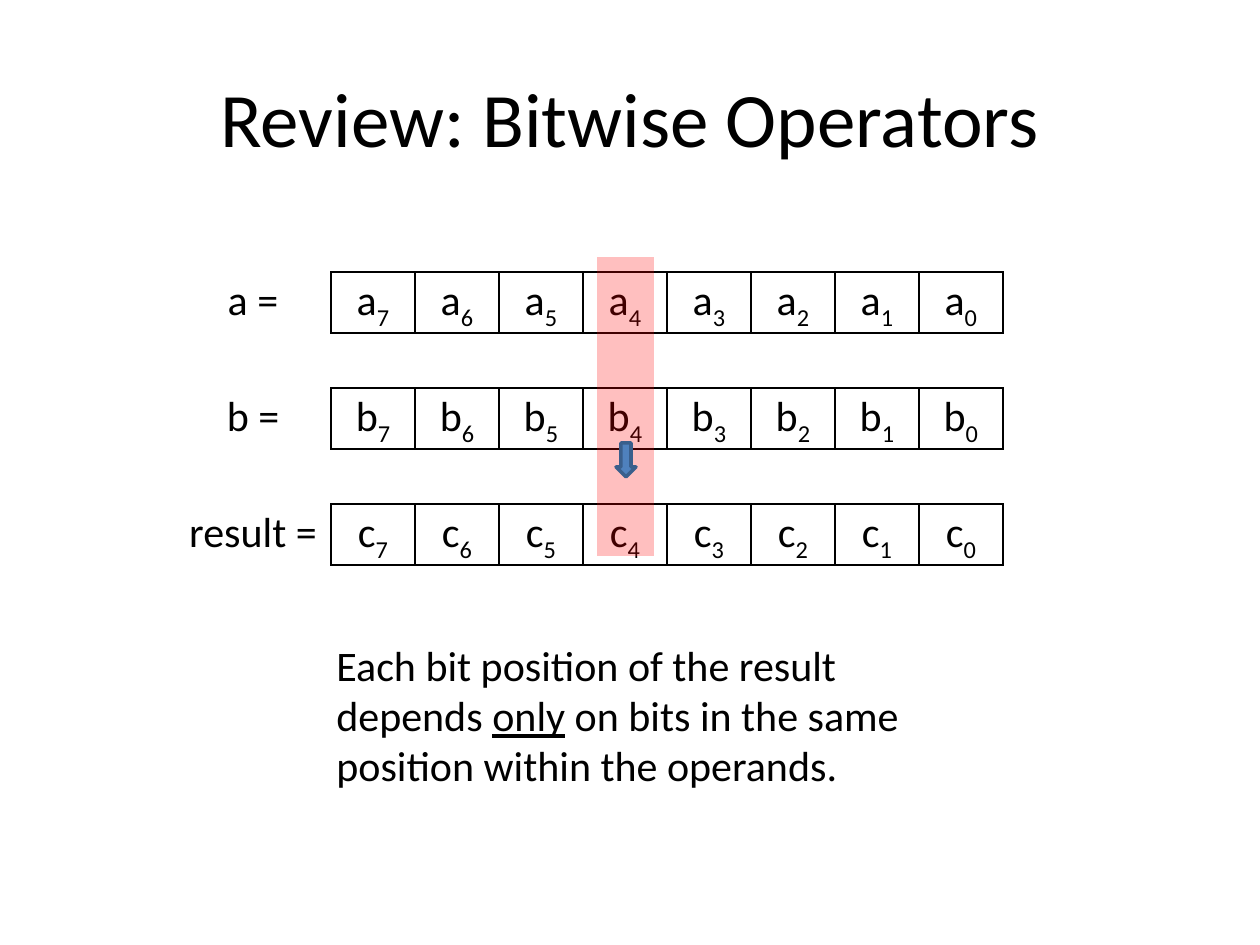
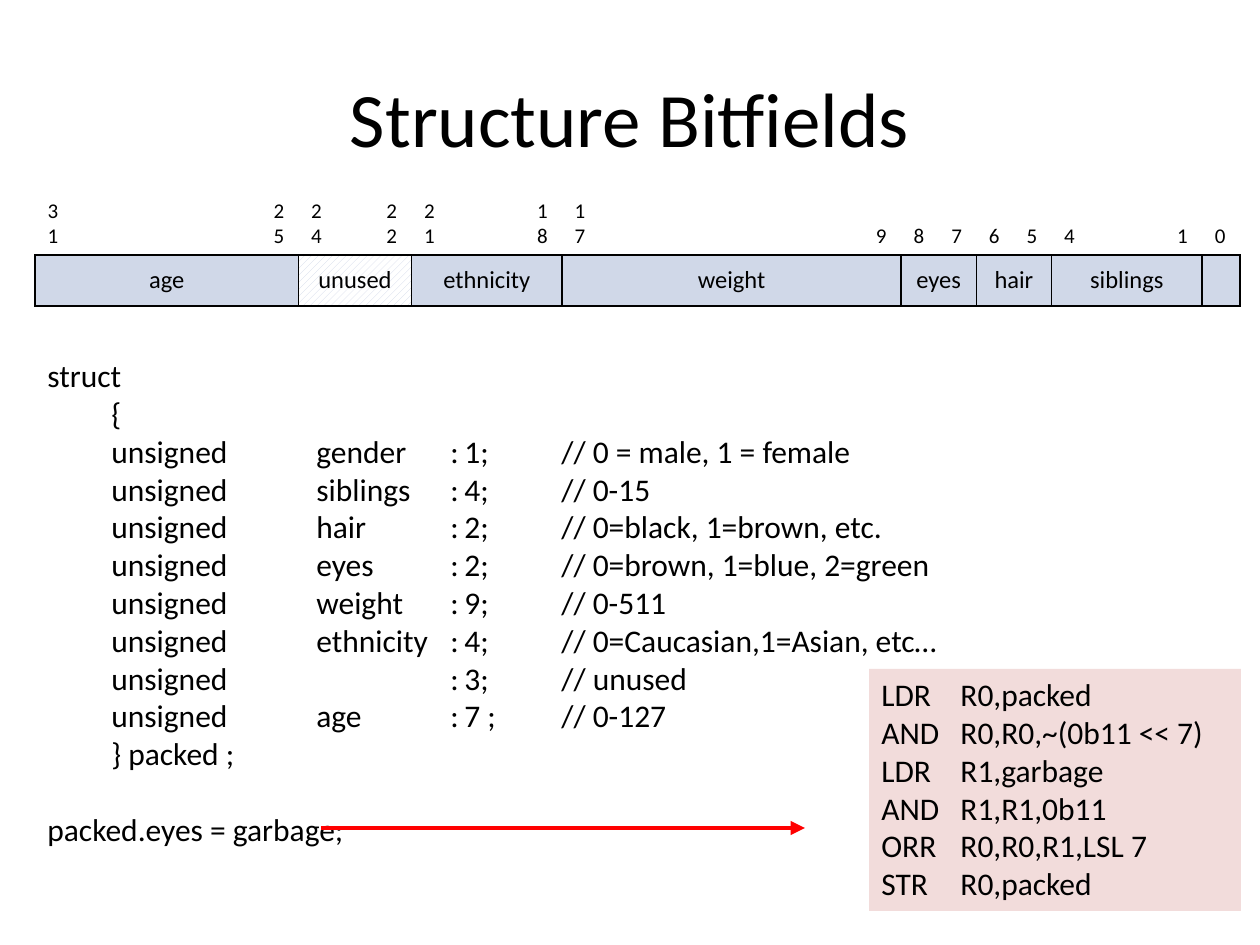
from collections import namedtuple

from lxml.etree import SubElement
from pptx import Presentation
from pptx.dml.color import RGBColor
from pptx.enum.dml import MSO_PATTERN
from pptx.enum.shapes import MSO_CONNECTOR, MSO_SHAPE
from pptx.enum.text import MSO_ANCHOR, PP_ALIGN
from pptx.oxml.ns import qn
from pptx.util import Emu, Pt

Box = namedtuple("Box", "left top width height")

FONT = "Calibri"
BLACK, WHITE, RED = "000000", "FFFFFF", "FF0000"
BLUE, DARK_BLUE = "4F81BD", "3A5F8C"
FIELD_FILL, PANEL_FILL = "D0D8E8", "F2DCDB"
PLAIN_TABLE = "{2D5ABB26-0587-4C30-8999-92F81FD0307C}"
TITLE_BOX = Box(63, 38, 1134, 158)
WORD_BITS = 32
BYTE_BITS = 8

FIELDS = [
    ("age", 31, 25),
    ("unused", 24, 22),
    ("ethnicity", 21, 18),
    ("weight", 17, 9),
    ("eyes", 8, 7),
    ("hair", 6, 5),
    ("siblings", 4, 1),
    ("", 0, 0),
]
MEMBERS = [
    ("gender", "1", "0 = male, 1 = female"),
    ("siblings", "4", "0-15"),
    ("hair", "2", "0=black, 1=brown, etc."),
    ("eyes", "2", "0=brown, 1=blue, 2=green"),
    ("weight", "9", "0-511"),
    ("ethnicity", "4", "0=Caucasian,1=Asian, etc…"),
    ("", "3", "unused"),
    ("age", "7 ", "0-127"),
]
INSTRUCTIONS = [
    "LDR\tR0,packed",
    "AND\tR0,R0,~(0b11 << 7)",
    "LDR\tR1,garbage",
    "AND\tR1,R1,0b11",
    "ORR\tR0,R0,R1,LSL 7",
    "STR\tR0,packed",
]


def px(length):
    return Emu(round(length * 914400 / 126))


def emu(box):
    return [px(length) for length in box]


def color(value):
    return RGBColor.from_string(value)


def format_runs(paragraph, size):
    for span in paragraph.runs:
        span.font.name = FONT
        span.font.size = Pt(size)
        span.font.color.rgb = color(BLACK)


def set_indent(paragraph, indent):
    paragraph._p.get_or_add_pPr().set("marL", str(px(indent)))


def set_tabs(paragraph, stops):
    properties = paragraph._p.get_or_add_pPr()
    tab_list = SubElement(properties, qn("a:tabLst"))
    for stop in stops:
        SubElement(tab_list, qn("a:tab"), pos=str(px(stop)), algn="l")


def add_title_page(deck, title):
    page = deck.slides.add_slide(deck.slide_layouts[5])
    shape = page.shapes.title
    shape.left, shape.top, shape.width, shape.height = emu(TITLE_BOX)
    shape.text_frame.text = title
    shape.text_frame.vertical_anchor = MSO_ANCHOR.MIDDLE
    paragraph = shape.text_frame.paragraphs[0]
    paragraph.alignment = PP_ALIGN.CENTER
    format_runs(paragraph, 44)
    return page


def add_shape(page, kind, box, fill, line=None):
    shape = page.shapes.add_shape(kind, *emu(box))
    shape.shadow.inherit = False
    shape.fill.solid()
    shape.fill.fore_color.rgb = color(fill)
    if line:
        shape.line.color.rgb = color(line)
        shape.line.width = Pt(2)
    else:
        shape.line.fill.background()
    return shape


def add_text_box(page, box):
    frame = page.shapes.add_textbox(*emu(box)).text_frame
    frame.word_wrap = True
    return frame


def add_plain_table(page, box, column_widths, row_heights):
    table = page.shapes.add_table(
        len(row_heights), len(column_widths), *emu(box)).table
    table.first_row = table.horz_banding = False
    table._tbl.tblPr.find(qn("a:tableStyleId")).text = PLAIN_TABLE
    for column, width in zip(table.columns, column_widths):
        column.width = px(width)
    for row, height in zip(table.rows, row_heights):
        row.height = px(height)
    for cell in table.iter_cells():
        cell.fill.background()
    return table


def outline_cell(cell):
    properties = cell._tc.get_or_add_tcPr()
    for index, side in enumerate(("lnL", "lnR", "lnT", "lnB")):
        line = SubElement(properties, qn(f"a:{side}"), w=str(Pt(1)))
        fill = SubElement(line, qn("a:solidFill"))
        SubElement(fill, qn("a:srgbClr"), val=BLACK)
        properties.insert(index, line)


def write_operand_cell(cell, text, subscript=""):
    cell.margin_left = cell.margin_right = px(9)
    cell.margin_top = cell.margin_bottom = 0
    paragraph = cell.text_frame.paragraphs[0]
    paragraph.text = text
    paragraph.alignment = PP_ALIGN.CENTER
    paragraph.line_spacing = 1.07
    if subscript:
        span = paragraph.add_run()
        span.text = subscript
        span._r.get_or_add_rPr().set("baseline", "-25000")
    format_runs(paragraph, 24)


def add_operand_table(page, box):
    label_width, row_height, gap = 156, 61, 55
    bit_width = (box.width - label_width) / BYTE_BITS
    table = add_plain_table(
        page, box, [label_width] + [bit_width] * BYTE_BITS,
        [row_height, gap, row_height, gap, row_height])
    operands = [("a =", "a"), ("b =", "b"), ("result =", "c")]
    for index, (label, letter) in enumerate(operands):
        row = 2 * index
        write_operand_cell(table.cell(row, 0), label)
        for bit in range(BYTE_BITS):
            cell = table.cell(row, BYTE_BITS - bit)
            write_operand_cell(cell, letter, str(bit))
            outline_cell(cell)


def add_bit_highlight(page, box):
    band = add_shape(page, MSO_SHAPE.RECTANGLE, box, RED)
    tint = band.fill._xPr.find(qn("a:solidFill"))[0]
    SubElement(tint, qn("a:alpha"), val="25000")
    arrow = Box(box.left + 19, box.top + 186, 20, 34)
    add_shape(page, MSO_SHAPE.DOWN_ARROW, arrow, BLUE, DARK_BLUE)


def add_remark(page, box):
    paragraph = add_text_box(page, box).paragraphs[0]
    for text in ("Each bit position of the result depends ", "only",
                 " on bits in the same position within the operands."):
        span = paragraph.add_run()
        span.text = text
        span.font.underline = text == "only"
    format_runs(paragraph, 24)


def add_struct_code(page, box):
    frame = add_text_box(page, box)
    members = [f"unsigned\t{name}\t:\t{width};\t// {note}"
               for name, width, note in MEMBERS]
    lines = ["struct", "{", *members, "} packed ;", "packed.eyes = garbage;"]
    frame.text = "\n".join(lines)
    for paragraph in frame.paragraphs:
        format_runs(paragraph, 18)
    for paragraph in frame.paragraphs[1:-1]:
        set_indent(paragraph, 64)
    for paragraph in frame.paragraphs[2:-2]:
        set_tabs(paragraph, (205, 339, 353, 450))
    frame.paragraphs[-1].space_before = Pt(21.5)


def fill_field(cell, name):
    if name == "unused":
        cell.fill.patterned()
        cell.fill.pattern = MSO_PATTERN.WIDE_UPWARD_DIAGONAL
        cell.fill.back_color.rgb = color(WHITE)
    else:
        cell.fill.solid()
    cell.fill.fore_color.rgb = color(FIELD_FILL)


def add_field_table(page, box):
    table = add_plain_table(
        page, box, [box.width / WORD_BITS] * WORD_BITS, [box.height / 2] * 2)
    for name, high, low in FIELDS:
        first, last = WORD_BITS - 1 - high, WORD_BITS - 1 - low
        for bit in {high, low}:
            number = table.cell(0, WORD_BITS - 1 - bit)
            number.text_frame.text = str(bit)
            number.vertical_anchor = MSO_ANCHOR.BOTTOM
            format_runs(number.text_frame.paragraphs[0], 12)
        cell = table.cell(1, first)
        if last > first:
            cell.merge(table.cell(1, last))
        fill_field(cell, name)
        outline_cell(cell)
        cell.vertical_anchor = MSO_ANCHOR.MIDDLE
        paragraph = cell.text_frame.paragraphs[0]
        paragraph.text = name
        paragraph.alignment = PP_ALIGN.CENTER
        format_runs(paragraph, 14)


def add_assembly_panel(page, box):
    frame = add_shape(page, MSO_SHAPE.RECTANGLE, box, PANEL_FILL).text_frame
    frame.word_wrap = True
    frame.vertical_anchor = MSO_ANCHOR.TOP
    frame.text = "\n".join(INSTRUCTIONS)
    for paragraph in frame.paragraphs:
        paragraph.alignment = PP_ALIGN.LEFT
        set_tabs(paragraph, (79,))
        format_runs(paragraph, 18)


def add_translation_arrow(page, box):
    arrow = page.shapes.add_connector(
        MSO_CONNECTOR.STRAIGHT, px(box.left), px(box.top),
        px(box.left + box.width), px(box.top + box.height))
    arrow.line.color.rgb = color(RED)
    arrow.line.width = Pt(2.75)
    SubElement(arrow.line._get_or_add_ln(), qn("a:tailEnd"), type="triangle")
    SubElement(arrow._element.spPr, qn("a:effectLst"))


def add_operators_page(deck):
    page = add_title_page(deck, "Review: Bitwise Operators")
    add_operand_table(page, Box(175, 272, 828, 293))
    add_remark(page, Box(324, 633, 659, 165))
    add_bit_highlight(page, Box(597, 257, 57, 299))


def add_bitfields_page(deck):
    page = add_title_page(deck, "Structure Bitfields")
    add_struct_code(page, Box(35, 350, 1006, 509))
    add_field_table(page, Box(35, 192, 1206, 102))
    add_assembly_panel(page, Box(869, 669, 372, 242))
    add_translation_arrow(page, Box(321, 828, 484, 0))


def main():
    deck = Presentation()
    deck.slide_width, deck.slide_height = px(1260), px(945)
    add_operators_page(deck)
    add_bitfields_page(deck)
    deck.save("out.pptx")


if __name__ == "__main__":
    main()
